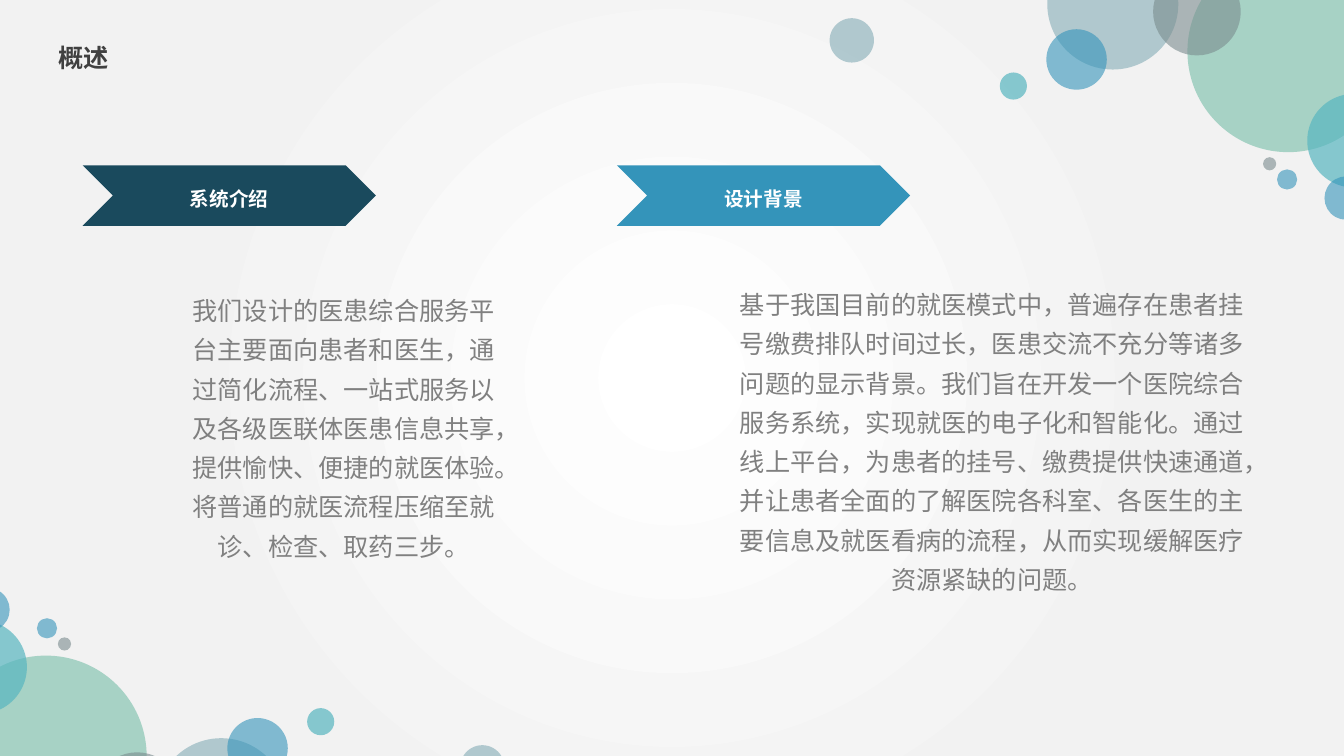
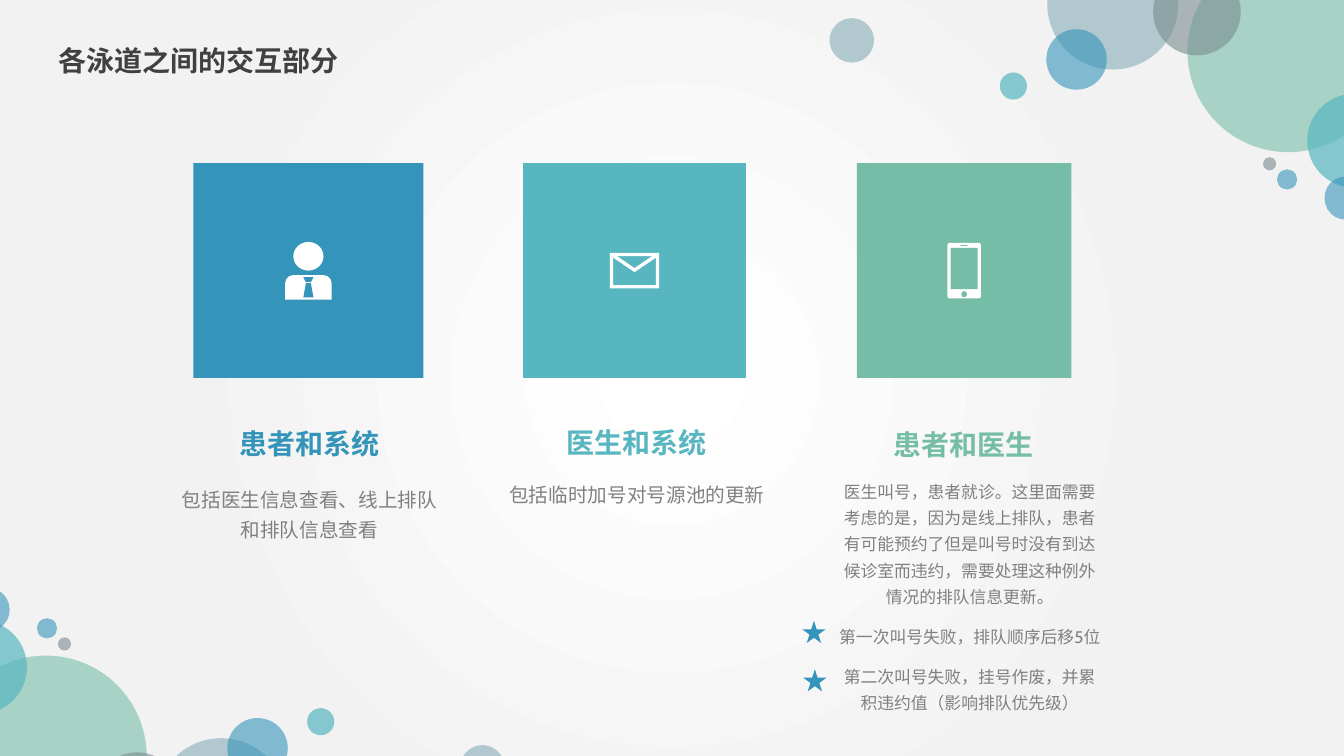
from dataclasses import dataclass
from typing import Any, NamedTuple, Sequence

from pptx import Presentation
from pptx.dml.color import RGBColor
from pptx.enum.shapes import MSO_SHAPE as Shape
from pptx.enum.text import MSO_ANCHOR as Anchor, PP_ALIGN as Align
from pptx.oxml import parse_xml
from pptx.oxml.ns import nsdecls, qn
from pptx.oxml.xmlchemy import OxmlElement
from pptx.util import Pt


@dataclass(frozen=True)
class Theme:
    font: str = "Cabin"
    title_color: str = "404040"
    body_color: str = "808080"
    white: str = "FFFFFF"
    edge: str = "F2F2F2"
    navy: str = "1A4A5D"
    blue: str = "3494BA"
    teal: str = "58B6C0"
    green: str = "75BDA7"
    slate: str = "7A8C8E"
    mist: str = "84ACB6"
    large: int = 20
    medium: int = 18
    small: int = 14
    tiny: int = 12
    line_spacing: float = 1.3
    space_before: int = 10


T = Theme()


class Box(NamedTuple):
    left: float
    top: float
    width: float
    height: float


class Bubble(NamedTuple):
    left: float
    top: float
    size: float
    color: str
    opacity: int = 60


class Topic(NamedTuple):
    label: str
    color: str
    arrow_left: float
    body: Box
    text: str


class Lane(NamedTuple):
    heading: str
    color: str
    tile_left: float
    tile_width: float
    heading_at: tuple[float, float]
    body_at: tuple[float, float]
    body_size: int
    paragraphs: Sequence[str]
    icon: str


SLIDE_W, SLIDE_H = 960, 540
# Each corner cluster is the other one turned by half a turn.
MIRROR_X, MIRROR_Y = 953, 577
BUBBLES = [
    Bubble(748.1, -43.9, 93.6, T.mist),
    Bubble(848.2, -35.3, 144, T.green),
    Bubble(823.7, -23, 62.6, T.slate),
    Bubble(747.4, 20.9, 43.2, T.blue),
    Bubble(933.8, 67, 67, T.teal, 70),
    Bubble(714.2, 51.8, 19.4, T.teal, 70),
    Bubble(946.1, 126, 31, T.blue),
    Bubble(912.2, 121, 14.4, T.blue),
    Bubble(902.2, 112.3, 9.4, T.slate),
    Bubble(592.6, 13, 31.7, T.mist),
]

TITLE = Box(34.6, 20.2, 267.8, 31.7)
ARROW_TOP, ARROW_W, ARROW_H = 118.1, 209.5, 43.2
TOPICS = [
    Topic("系统介绍", T.navy, 59, Box(123.8, 200.9, 243.4, 87.1),
          "我们设计的医患综合服务平台主要面向患者和医生，通过简化流程、一站式服务"
          "以及各级医联体医患信息共享，提供愉快、便捷的就医体验。将普通的就医流程"
          "压缩至就诊、检查、取药三步。"),
    Topic("设计背景", T.blue, 440.6, Box(517, 196.6, 383, 87.1),
          "基于我国目前的就医模式中，普遍存在患者挂号缴费排队时间过长，医患交流不"
          "充分等诸多问题的显示背景。我们旨在开发一个医院综合服务系统，实现就医的"
          "电子化和智能化。通过线上平台，为患者的挂号、缴费提供快速通道，并让患者"
          "全面的了解医院各科室、各医生的主要信息及就医看病的流程，从而实现缓解医"
          "疗资源紧缺的问题。"),
]

TILE_TOP, TILE_H = 116.6, 153.4
HEADING_W, HEADING_H = 230.4, 46.8
BODY_W, BODY_H = 206, 87.1
LANES = [
    Lane("患者和系统", T.blue, 138.2, 164.2, (105.8, 293.8), (118.1, 339.8), T.small,
         ["包括医生信息查看、线上排队和排队信息查看"], "person"),
    Lane("医生和系统", T.teal, 373.7, 159.1, (339.8, 293), (352.1, 336.2), T.small,
         ["包括临时加号对号源池的更新"], "envelope"),
    Lane("患者和医生", T.green, 612, 153.4, (573.1, 294.5), (589.7, 336.2), T.tiny,
         ["医生叫号，患者就诊。这里面需要考虑的是，因为是线上排队，患者有可能预约"
          "了但是叫号时没有到达候诊室而违约，需要处理这种例外情况的排队信息更新。",
          "第一次叫号失败，排队顺序后移5位",
          "第二次叫号失败，挂号作废，并累积违约值（影响排队优先级）"], "phone"),
]
STARS = [Box(573.1, 443.5, 16.6, 15.8), Box(573.8, 478.1, 16.6, 15.8)]


def paint(sp: Any, color: str, opacity: int = 100) -> None:
    sp.shadow.inherit = False
    sp.fill.solid()
    sp.fill.fore_color.rgb = RGBColor.from_string(color)
    sp.line.fill.background()
    if opacity < 100:
        alpha = OxmlElement("a:alpha")
        alpha.set("val", str(opacity * 1000))
        sp.element.spPr.find(qn("a:solidFill"))[0].append(alpha)


def add_preset(shapes: Any, kind: Shape, box: Box, color: str, *,
               opacity: int = 100, adjust: float | None = None) -> Any:
    sp = shapes.add_shape(kind, *map(Pt, box))
    paint(sp, color, opacity)
    if adjust is not None:
        sp.adjustments[0] = adjust
    return sp


def add_polygon(shapes: Any, points: Sequence[tuple[float, float]], color: str) -> None:
    first, *rest = [(Pt(x), Pt(y)) for x, y in points]
    builder = shapes.build_freeform(*first)
    builder.add_line_segments(rest, close=True)
    paint(builder.convert_to_shape(), color)


def write(tf: Any, *paragraphs: str, size: int, color: str, bold: bool = False,
          align: Align = Align.CENTER, before: int = T.space_before) -> None:
    tf.word_wrap = True
    for i, text in enumerate(paragraphs):
        p = tf.add_paragraph() if i else tf.paragraphs[0]
        p.alignment = align
        p.line_spacing = T.line_spacing
        p.space_before = Pt(before)
        r = p.add_run()
        r.text = text
        r.font.name = T.font
        r.font.size = Pt(size)
        r.font.bold = bold
        r.font.color.rgb = RGBColor.from_string(color)
        east_asian = OxmlElement("a:ea")
        east_asian.set("typeface", T.font)
        r.font._element.find(qn("a:latin")).addnext(east_asian)


def add_text(s: Any, box: Box, *paragraphs: str, **style: Any) -> None:
    write(s.shapes.add_textbox(*map(Pt, box)).text_frame, *paragraphs, **style)


def add_title(s: Any, text: str, size: int) -> None:
    add_text(s, TITLE, text, size=size, color=T.title_color, bold=True, align=Align.LEFT)


def set_background(master: Any) -> None:
    """Give the master a radial gradient, white in the middle."""
    master.background.fill.solid()
    solid = master.element.find(".//" + qn("p:bgPr")).find(qn("a:solidFill"))
    stops = "".join(f'<a:gs pos="{pos}"><a:srgbClr val="{color}"/></a:gs>'
                    for pos, color in ((0, T.white), (67000, T.edge), (100000, T.edge)))
    solid.getparent().replace(solid, parse_xml(
        f'<a:gradFill {nsdecls("a")} rotWithShape="1"><a:gsLst>{stops}</a:gsLst>'
        '<a:path path="circle"><a:fillToRect l="50000" t="50000" r="50000" b="50000"/>'
        "</a:path></a:gradFill>"))


def move_bubbles_to_layout(s: Any, layout: Any) -> None:
    """Draw both clusters on a still empty slide, then hand them to its layout."""
    for ph in list(layout.placeholders):
        layout.shapes.element.remove(ph.element)
    for mirrored in (False, True):
        for b in BUBBLES:
            left = MIRROR_X - b.left - b.size if mirrored else b.left
            top = MIRROR_Y - b.top - b.size if mirrored else b.top
            add_preset(s.shapes, Shape.OVAL, Box(left, top, b.size, b.size),
                       b.color, opacity=b.opacity)
    for sp in list(s.shapes):
        layout.shapes.element.append(sp.element)


def add_person(shapes: Any, cx: float, cy: float, tie: str) -> None:
    add_preset(shapes, Shape.OVAL, Box(cx - 10.8, cy - 20.5, 21.6, 20.5), T.white)
    add_preset(shapes, Shape.ROUND_2_SAME_RECTANGLE,
               Box(cx - 16.6, cy + 3.2, 33.2, 17.6), T.white, adjust=0.33)
    for top, upper, bottom, lower in ((4.7, 3.6, 8.3, 1.8), (9, 1.8, 19.1, 3.6)):
        add_polygon(shapes, [(cx - upper, cy + top), (cx + upper, cy + top),
                             (cx + lower, cy + bottom), (cx - lower, cy + bottom)], tie)


def add_envelope(shapes: Any, cx: float, cy: float, _color: str) -> None:
    add_preset(shapes, Shape.FRAME, Box(cx - 17.6, cy - 12.6, 35.2, 25.2),
               T.white, adjust=0.09)
    flap = [(0, 1.1), (-17, -10.4), (-15.8, -12.6), (0, -1.8), (15.8, -12.6), (17, -10.4)]
    add_polygon(shapes, [(cx + x, cy + y) for x, y in flap], T.white)


def add_phone(shapes: Any, cx: float, cy: float, color: str) -> None:
    add_preset(shapes, Shape.ROUNDED_RECTANGLE, Box(cx - 11.9, cy - 19.8, 23.8, 39.6),
               T.white, adjust=0.06)
    for kind, width, top, height in ((Shape.RECTANGLE, 19.4, -16.2, 29.5),
                                     (Shape.OVAL, 4, 14.7, 4.3),
                                     (Shape.ROUNDED_RECTANGLE, 5, -18.3, 0.7)):
        add_preset(shapes, kind, Box(cx - width / 2, cy + top, width, height), color)


ICONS = {"person": add_person, "envelope": add_envelope, "phone": add_phone}


def add_topic(s: Any, topic: Topic) -> None:
    sp = add_preset(s.shapes, Shape.CHEVRON,
                    Box(topic.arrow_left, ARROW_TOP, ARROW_W, ARROW_H), topic.color)
    sp.text_frame.vertical_anchor = Anchor.MIDDLE
    write(sp.text_frame, topic.label, size=T.small, color=T.white, bold=True, before=0)
    add_text(s, topic.body, topic.text, size=T.medium, color=T.body_color)


def add_lane(s: Any, lane: Lane) -> None:
    shapes = s.shapes.add_group_shape().shapes
    add_preset(shapes, Shape.RECTANGLE,
               Box(lane.tile_left, TILE_TOP, lane.tile_width, TILE_H), lane.color)
    ICONS[lane.icon](shapes, lane.tile_left + lane.tile_width / 2,
                     TILE_TOP + TILE_H / 2, lane.color)
    add_text(s, Box(*lane.heading_at, HEADING_W, HEADING_H), lane.heading,
             size=T.large, color=lane.color, bold=True)
    add_text(s, Box(*lane.body_at, BODY_W, BODY_H), *lane.paragraphs,
             size=lane.body_size, color=T.body_color)


def main() -> None:
    prs = Presentation()
    prs.slide_width, prs.slide_height = Pt(SLIDE_W), Pt(SLIDE_H)
    blank = prs.slide_layouts[6]
    set_background(prs.slide_master)

    overview = prs.slides.add_slide(blank)
    move_bubbles_to_layout(overview, blank)
    add_title(overview, "概述", T.medium)
    for topic in TOPICS:
        add_topic(overview, topic)

    lanes = prs.slides.add_slide(blank)
    add_title(lanes, "各泳道之间的交互部分", T.large)
    for lane in LANES:
        add_lane(lanes, lane)
    for star in STARS:
        add_preset(lanes.shapes, Shape.STAR_5_POINT, star, T.blue)

    prs.save("out.pptx")


if __name__ == "__main__":
    main()
